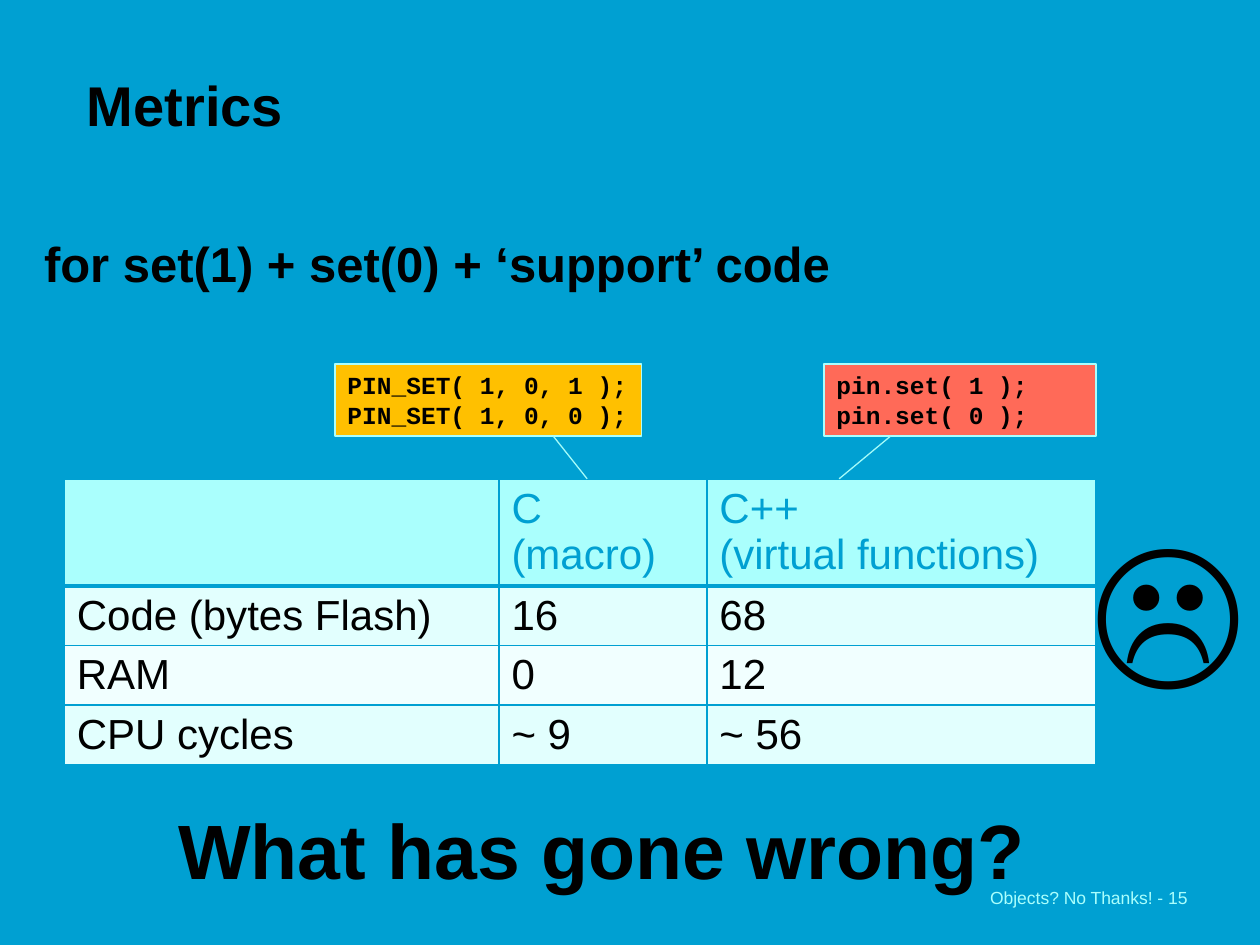
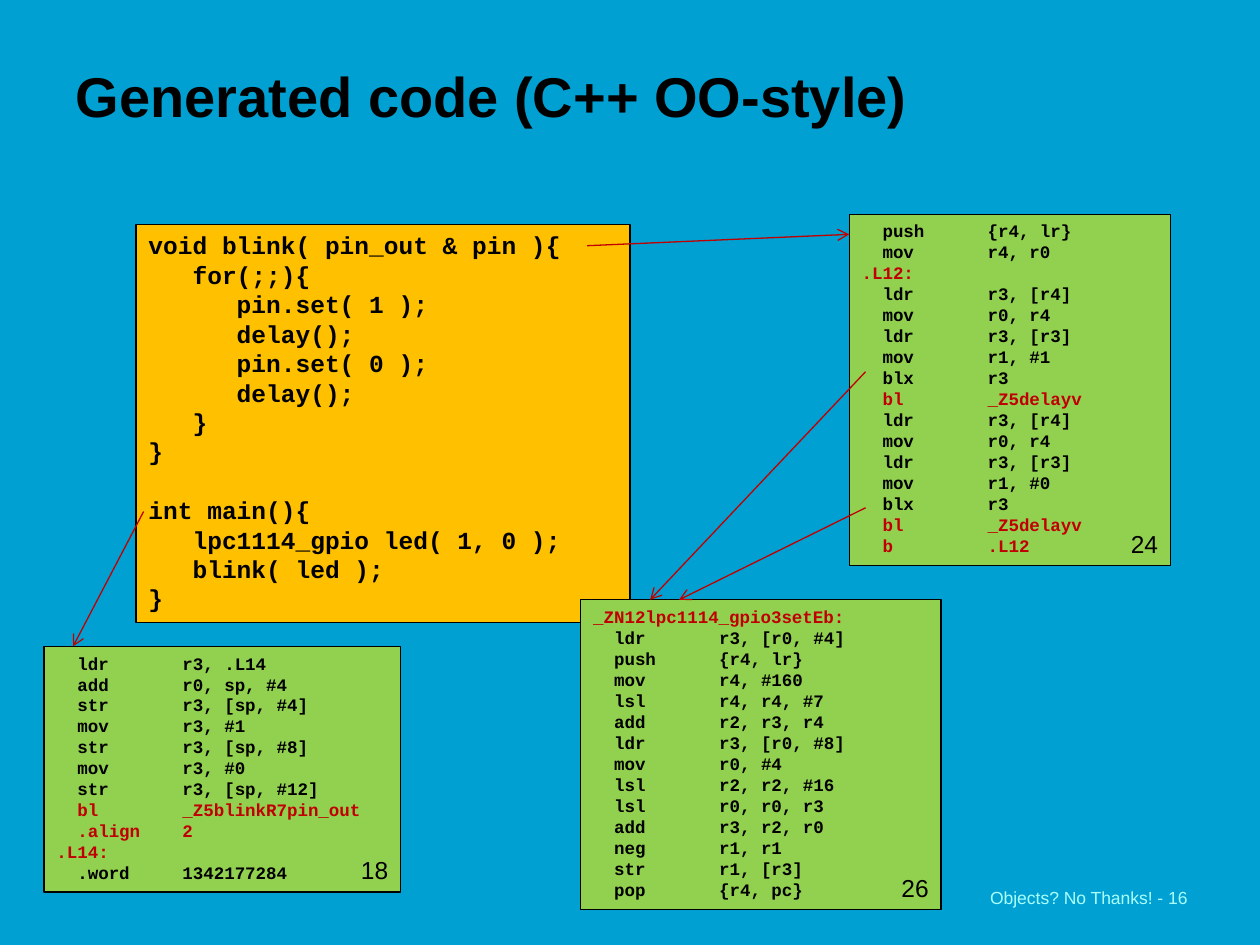
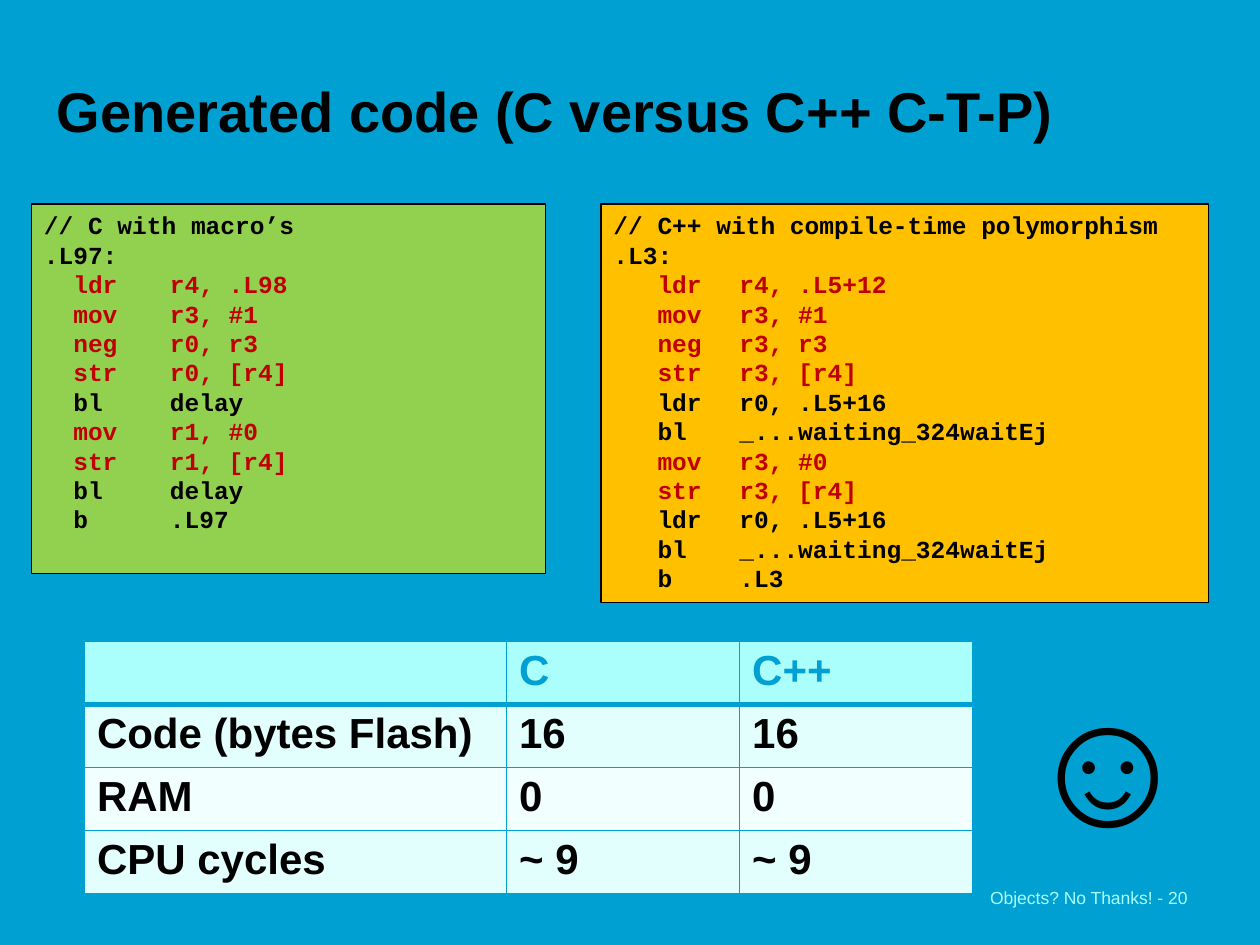
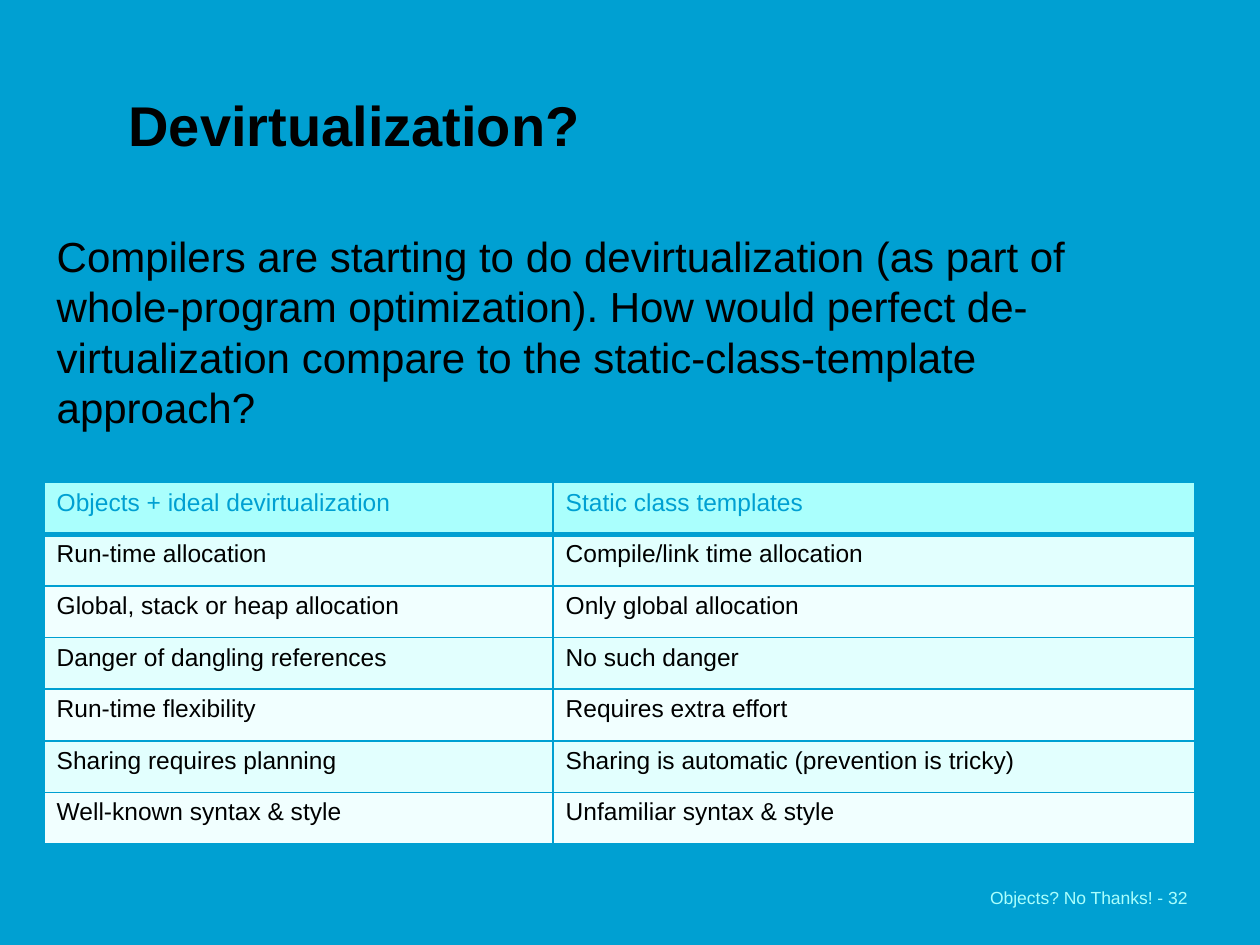
"""Build four slides on the cost of C++ objects versus C macros."""
import lxml.etree
import pptx
import pptx.dml.color
import pptx.enum.shapes
import pptx.enum.text
import pptx.oxml.ns
import pptx.util

RGBColor = pptx.dml.color.RGBColor
Inches = pptx.util.Inches
Pt = pptx.util.Pt
ALIGN = pptx.enum.text.PP_ALIGN
ANCHOR = pptx.enum.text.MSO_ANCHOR
qn = pptx.oxml.ns.qn

BLUE = RGBColor(0x00, 0xA0, 0xD2)
BLACK = RGBColor(0x00, 0x00, 0x00)
PALE = RGBColor(0xAA, 0xFF, 0xFD)
CALLOUT = RGBColor(0xA4, 0xFB, 0xF9)
ROW_TINTS = (RGBColor(0xE2, 0xFF, 0xFE), RGBColor(0xF1, 0xFF, 0xFF))
AMBER = RGBColor(0xFF, 0xC0, 0x00)
CORAL = RGBColor(0xFF, 0x6A, 0x58)
GREEN = RGBColor(0x92, 0xD0, 0x50)
RED = RGBColor(0xC0, 0x00, 0x00)

TITLE_AND_BODY, TITLE_ONLY = 1, 5
LINE_PITCH = 1.2

BLINK = """void blink( pin_out & pin ){
   for(;;){
      pin.set( 1 );
      delay();
      pin.set( 0 );
      delay();
   }
}

int main(){
   lpc1114_gpio led( 1, 0 );
   blink( led );
}"""

MAIN_ASM = """  ldr\tr3, .L14
  add\tr0, sp, #4
  str\tr3, [sp, #4]
  mov\tr3, #1
  str\tr3, [sp, #8]
  mov\tr3, #0
  str\tr3, [sp, #12]
  bl\t_Z5blinkR7pin_out
  .align\t2
.L14:
  .word\t1342177284"""

BLINK_ASM = """  push\t{r4, lr}
  mov\tr4, r0
.L12:
  ldr\tr3, [r4]
  mov\tr0, r4
  ldr\tr3, [r3]
  mov\tr1, #1
  blx\tr3
  bl\t_Z5delayv
  ldr\tr3, [r4]
  mov\tr0, r4
  ldr\tr3, [r3]
  mov\tr1, #0
  blx\tr3
  bl\t_Z5delayv
  b\t.L12"""

SET_ASM = """_ZN12lpc1114_gpio3setEb:
  ldr\tr3, [r0, #4]
  push\t{r4, lr}
  mov\tr4, #160
  lsl\tr4, r4, #7
  add\tr2, r3, r4
  ldr\tr3, [r0, #8]
  mov\tr0, #4
  lsl\tr2, r2, #16
  lsl\tr0, r0, r3
  add\tr3, r2, r0
  neg\tr1, r1
  str\tr1, [r3]
  pop\t{r4, pc}"""

MACRO_ASM = """// C with macro’s
.L97:
  ldr\tr4, .L98
  mov\tr3, #1
  neg\tr0, r3
  str\tr0, [r4]
  bl\tdelay
  mov\tr1, #0
  str\tr1, [r4]
  bl\tdelay
  b\t.L97"""

TEMPLATE_ASM = """// C++ with compile-time polymorphism
.L3:
   ldr\tr4, .L5+12
   mov\tr3, #1
   neg\tr3, r3
   str\tr3, [r4]
   ldr\tr0, .L5+16
   bl\t_...waiting_324waitEj
   mov\tr3, #0
   str\tr3, [r4]
   ldr\tr0, .L5+16
   bl\t_...waiting_324waitEj
   b\t.L3"""


def set_values(target, values):
    """Set each named attribute of the target."""
    for name, value in values.items():
        setattr(target, name, value)


def place(shape, box):
    """Move and size a shape to (left, top, width, height) in inches."""
    set_values(shape, dict(zip(("left", "top", "width", "height"), map(Inches, box))))


def style(font, size, color=BLACK, bold=False, name="Arial"):
    """Apply the deck's text format to a font."""
    set_values(font, {"name": name, "size": Pt(size), "bold": bold})
    font.color.rgb = color


def write(frame, text, size, align=ALIGN.LEFT, anchor=ANCHOR.TOP, **look):
    """Fill a text frame with uniformly formatted paragraphs."""
    frame.text = text
    set_values(frame, {"word_wrap": True, "vertical_anchor": anchor,
                       "auto_size": pptx.enum.text.MSO_AUTO_SIZE.NONE})
    for paragraph in frame.paragraphs:
        paragraph.alignment = align
        for run in paragraph.runs:
            style(run.font, size, **look)


def start_slide(deck, layout, title, title_box, number):
    """Add a slide with its title and running footer."""
    slide = deck.slides.add_slide(deck.slide_layouts[layout])
    place(slide.shapes.title, title_box)
    write(slide.shapes.title.text_frame, title, 32, anchor=ANCHOR.BOTTOM, bold=True)
    add_text(slide, (7.76, 6.87, 2.08, 0.5), f"Objects? No Thanks! - {number}", 10,
             anchor=ANCHOR.MIDDLE, color=PALE)
    return slide


def add_text(slide, box, text, size, **look):
    """Add a text box."""
    write(slide.shapes.add_textbox(*map(Inches, box)).text_frame, text, size, **look)


def fill_body(slide, box, text, size, bold=False):
    """Use the body placeholder for an unbulleted statement."""
    body = slide.placeholders[1]
    place(body, box)
    write(body.text_frame, text, size, bold=bold)
    paragraph = body.text_frame.paragraphs[0]
    properties = paragraph._p.get_or_add_pPr()
    properties.set("marL", "0")
    properties.set("indent", "0")
    lxml.etree.SubElement(properties, qn("a:buNone"))
    set_values(paragraph, {"space_before": Pt(0), "line_spacing": Pt(size * LINE_PITCH)})


def add_code(slide, box, code, size, fill, red=(), border=BLACK, byte_count=None):
    """Add a code panel, with chosen lines in red and its size in bytes."""
    panel = slide.shapes.add_shape(pptx.enum.shapes.MSO_SHAPE.RECTANGLE, *map(Inches, box))
    panel.shadow.inherit = False
    panel.fill.solid()
    panel.fill.fore_color.rgb = fill
    panel.line.color.rgb = border
    panel.line.width = Pt(0.75)
    frame = panel.text_frame
    set_values(frame, {"word_wrap": True, "vertical_anchor": ANCHOR.TOP})
    pitch = Pt(size * LINE_PITCH)
    gap = Pt(0)
    paragraph = frame.paragraphs[0]
    for index, line in enumerate(code.splitlines()):
        if not line:
            gap = pitch
            continue
        if index:
            paragraph = frame.add_paragraph()
        tabs = lxml.etree.SubElement(paragraph._p.get_or_add_pPr(), qn("a:tabLst"))
        lxml.etree.SubElement(tabs, qn("a:tab"), pos=str(Inches(1)), algn="l")
        set_values(paragraph, {"alignment": ALIGN.LEFT, "line_spacing": pitch,
                               "space_before": gap})
        gap = Pt(0)
        run = paragraph.add_run()
        run.text = line
        style(run.font, size, RED if index in red else BLACK, True, "Courier New")
    if byte_count:
        left, top, width, height = box
        add_text(slide, (left + width - 0.42, top + height - 0.34, 0.42, 0.34),
                 byte_count, 14, align=ALIGN.RIGHT)


def add_line(slide, start, end, color, arrow=False):
    """Add a straight line, optionally with an arrowhead at its end."""
    line = slide.shapes.add_connector(pptx.enum.shapes.MSO_CONNECTOR.STRAIGHT,
                                      *map(Inches, start + end))
    line.line.color.rgb = color
    line.line.width = Pt(0.75)
    properties = line._element.spPr
    if arrow:
        lxml.etree.SubElement(properties.find(qn("a:ln")), qn("a:tailEnd"), type="arrow")
    lxml.etree.SubElement(properties, qn("a:effectLst"))


def add_borders(cell, bottom):
    """Rule a cell on all sides in the background colour."""
    properties = cell._tc.get_or_add_tcPr()
    for side, width in (("L", 1), ("R", 1), ("T", 1), ("B", bottom)):
        edge = lxml.etree.SubElement(properties, qn(f"a:ln{side}"), w=str(Pt(width)))
        fill = lxml.etree.SubElement(edge, qn("a:solidFill"))
        lxml.etree.SubElement(fill, qn("a:srgbClr"), val=str(BLUE))


def add_comparison(slide, corner, widths, heights, rows, size, bold=False):
    """Add a comparison table with a header row and alternating tints."""
    extent = (sum(widths), sum(heights))
    table = slide.shapes.add_table(len(rows), len(widths),
                                   *map(Inches, corner + extent)).table
    table.horz_banding = False
    for column, width in zip(table.columns, widths):
        column.width = Inches(width)
    for index, (height, texts) in enumerate(zip(heights, rows)):
        table.rows[index].height = Inches(height)
        header = index == 0
        for cell, text in zip(table.rows[index].cells, texts):
            add_borders(cell, 3 if header else 1)
            cell.fill.solid()
            cell.fill.fore_color.rgb = PALE if header else ROW_TINTS[(index - 1) % 2]
            cell.text = text
            for paragraph in cell.text_frame.paragraphs:
                paragraph.alignment = ALIGN.LEFT
                for run in paragraph.runs:
                    style(run.font, size, BLUE if header else BLACK, bold)


def add_metrics(deck):
    """Compare the macro with virtual functions."""
    slide = start_slide(deck, TITLE_AND_BODY, "Metrics", (0.59, 0.36, 6.85, 0.78), 15)
    fill_body(slide, (0.25, 1.8, 9.69, 0.77),
              "for set(1) + set(0) + ‘support’ code", 28, bold=True)
    add_comparison(slide, (0.51, 3.8), (3.45, 1.65, 3.09), (0.85, 0.47, 0.47, 0.47), [
        ("", "C\n(macro)", "C++\n(virtual functions)"),
        ("Code (bytes Flash)", "16", "68"),
        ("RAM", "0", "12"),
        ("CPU cycles", "~ 9", "~ 56"),
    ], 24)
    add_text(slide, (0.28, 6.11, 9, 1.25), "What has gone wrong?", 44,
             align=ALIGN.CENTER, anchor=ANCHOR.MIDDLE, bold=True)
    add_code(slide, (6.54, 2.89, 2.16, 0.57), "pin.set( 1 );\npin.set( 0 );",
             14, CORAL, border=PALE)
    add_code(slide, (2.66, 2.89, 2.43, 0.57), "PIN_SET( 1, 0, 1 );\nPIN_SET( 1, 0, 0 );",
             14, AMBER, border=PALE)
    add_line(slide, (4.39, 3.46), (4.66, 3.8), CALLOUT)
    add_line(slide, (7.07, 3.46), (6.66, 3.8), CALLOUT)
    add_text(slide, (8.46, 4.14, 1.63, 1.25), "☹", 96,
             align=ALIGN.CENTER, anchor=ANCHOR.MIDDLE, bold=True)


def add_object_code(deck):
    """Show the assembly generated from the object-oriented source."""
    slide = start_slide(deck, TITLE_ONLY, "Generated code (C++ OO-style)",
                        (0.5, -0.11, 7.81, 1.18), 16)
    add_code(slide, (1.08, 1.78, 3.92, 3.16), BLINK, 14, AMBER)
    for box, code, red, byte_count in (
        ((0.35, 5.13, 2.83, 1.95), MAIN_ASM, (7, 8, 9), "18"),
        ((6.74, 1.7, 2.55, 2.79), BLINK_ASM, (2, 8, 14, 15), "24"),
        ((4.61, 4.76, 2.86, 2.46), SET_ASM, (0,), "26"),
    ):
        add_code(slide, box, code, 10, GREEN, red, byte_count=byte_count)
    for start, end in (
        ((4.66, 1.95), (6.74, 1.86)),
        ((1.14, 4.06), (0.58, 5.13)),
        ((6.87, 4.03), (5.39, 4.76)),
        ((6.87, 2.95), (5.16, 4.76)),
    ):
        add_line(slide, start, end, RED, arrow=True)


def add_template_code(deck):
    """Compare macro assembly with compile-time polymorphism."""
    slide = start_slide(deck, TITLE_ONLY, "Generated code (C versus C++ C-T-P)",
                        (0.35, 0.44, 8.96, 0.75), 20)
    add_code(slide, (4.77, 1.62, 4.82, 3.16), TEMPLATE_ASM, 14, AMBER, (2, 3, 4, 5, 8, 9))
    add_comparison(slide, (0.67, 5.09), (3.35, 1.85, 1.85), (0.5,) * 4, [
        ("", "C", "C++"),
        ("Code (bytes Flash)", "16", "16"),
        ("RAM", "0", "0"),
        ("CPU cycles", "~ 9", "~ 9"),
    ], 24, bold=True)
    add_code(slide, (0.25, 1.62, 4.08, 2.93), MACRO_ASM, 14, GREEN, (2, 3, 4, 5, 7, 8))
    add_text(slide, (8.02, 5.4, 1.31, 1.25), "☺", 96,
             align=ALIGN.CENTER, anchor=ANCHOR.MIDDLE, bold=True)


def add_devirtualization(deck):
    """Compare ideal devirtualization with static class templates."""
    slide = start_slide(deck, TITLE_AND_BODY, "Devirtualization?",
                        (0.92, 0.67, 6.75, 0.63), 32)
    fill_body(slide, (0.35, 1.78, 9.13, 1.72),
              "Compilers are starting to do devirtualization (as part of "
              "whole-program optimization). How would perfect de-virtualization "
              "compare to the static-class-template approach?", 24)
    add_comparison(slide, (0.35, 3.83), (4.04, 5.09), (0.41,) * 7, [
        ("Objects + ideal devirtualization", "Static class templates"),
        ("Run-time allocation", "Compile/link time allocation"),
        ("Global, stack or heap allocation", "Only global allocation"),
        ("Danger of dangling references", "No such danger"),
        ("Run-time flexibility", "Requires extra effort"),
        ("Sharing requires planning", "Sharing is automatic (prevention is tricky)"),
        ("Well-known syntax & style", "Unfamiliar syntax & style"),
    ], 14)


def main():
    """Build and save the deck."""
    deck = pptx.Presentation()
    set_values(deck, {"slide_width": Inches(10), "slide_height": Inches(7.5)})
    backdrop = deck.slide_master.background.fill
    backdrop.solid()
    backdrop.fore_color.rgb = BLUE
    add_metrics(deck)
    add_object_code(deck)
    add_template_code(deck)
    add_devirtualization(deck)
    deck.save("out.pptx")


if __name__ == "__main__":
    main()
